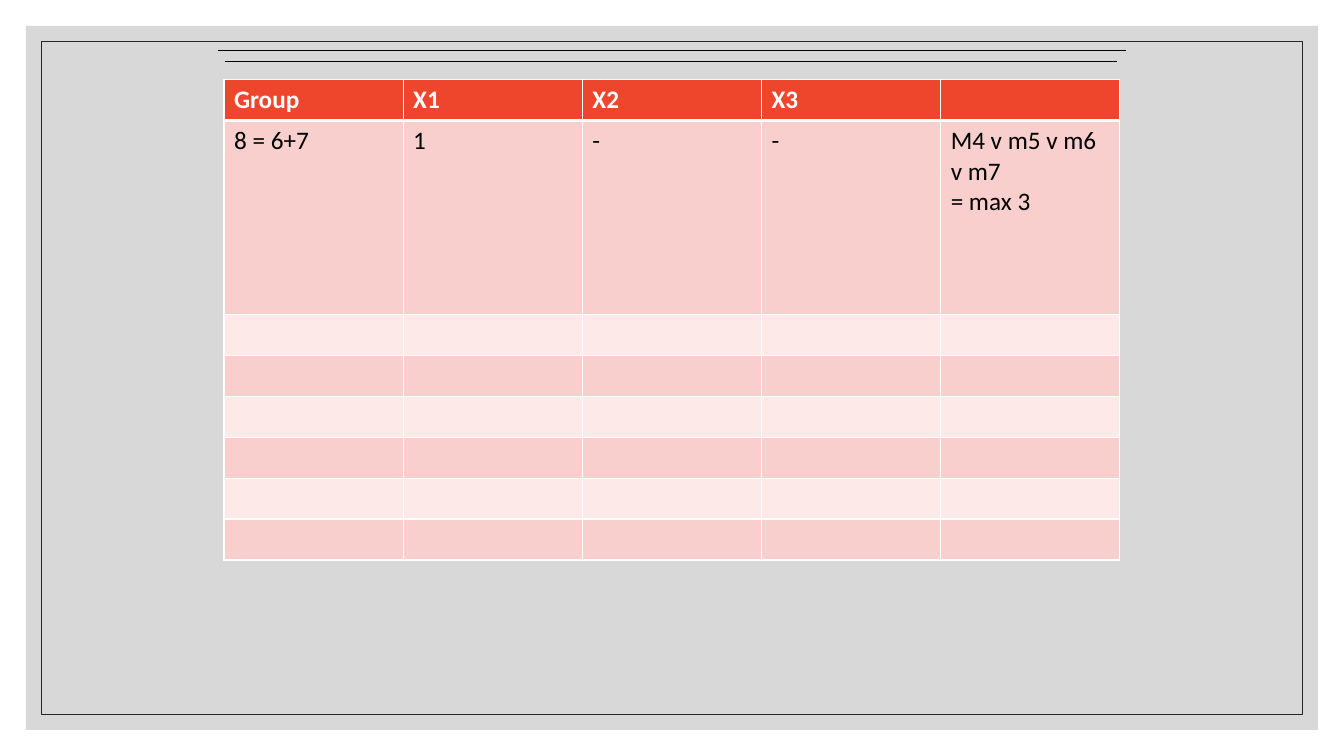
import pptx
import pptx.dml.color
import pptx.enum.shapes
import pptx.oxml
import pptx.oxml.ns
import pptx.util
from lxml import etree

Pt = pptx.util.Pt
qn = pptx.oxml.ns.qn

WIDTH, HEIGHT = 960, 540
ROWS = [
    ["Group", "X1", "X2", "X3", ""],
    ["8 = 6+7", "1", "-", "-", "M4 v m5 v m6 v m7\n= max 3"],
] + [[""] * 5 for _ in range(6)]
ROW_HEIGHTS = [29.2, 138.8] + [29.2] * 6


def color(value):
    return pptx.dml.color.RGBColor.from_string(value)


def add_frame(s, left, top, width, height):
    """Translucent grey panel with a thin outline inset in it."""
    inset = 10.8
    for gap, fill, line in ((0, "BFBFBF", None), (inset, None, "262626")):
        sp = s.shapes.add_shape(
            pptx.enum.shapes.MSO_SHAPE.RECTANGLE,
            Pt(left + gap), Pt(top + gap),
            Pt(width - 2 * gap), Pt(height - 2 * gap))
        sp.shadow.inherit = False
        if fill:
            sp.fill.solid()
            sp.fill.fore_color.rgb = color(fill)
            tint = sp.fill._xPr.find(".//" + qn("a:srgbClr"))
            etree.SubElement(tint, qn("a:alpha"), val="60000")
        else:
            sp.fill.background()
        if line:
            sp.line.color.rgb = color(line)
            sp.line.width = Pt(0.5)
        else:
            sp.line.fill.background()


def add_border(cell, side, width):
    tc_pr = cell._tc.get_or_add_tcPr()
    ln = etree.SubElement(tc_pr, qn("a:ln" + side), w=str(Pt(width)))
    fill = etree.SubElement(ln, qn("a:solidFill"))
    etree.SubElement(fill, qn("a:srgbClr"), val="FFFFFF")


def add_group_table(s, left, top, width):
    """Banded table with a red header row."""
    table = s.shapes.add_table(
        len(ROWS), len(ROWS[0]), Pt(left), Pt(top),
        Pt(width), Pt(sum(ROW_HEIGHTS))).table
    for column in table.columns:
        column.width = Pt(width / len(ROWS[0]))
    for i, (texts, height) in enumerate(zip(ROWS, ROW_HEIGHTS)):
        table.rows[i].height = Pt(height)
        header = i == 0
        fill = "EE462D" if header else ("FCE9E8", "F8CFCD")[i % 2]
        for j, text in enumerate(texts):
            cell = table.cell(i, j)
            # The rule under the header is heavier than the rest
            for side in "LRTB":
                heavy = (i, side) in ((0, "B"), (1, "T"))
                add_border(cell, side, 3 if heavy else 1)
            cell.fill.solid()
            cell.fill.fore_color.rgb = color(fill)
            cell.text_frame.text = text
            for p in cell.text_frame.paragraphs:
                for r in p.runs:
                    r.font.name = "Calibri"
                    r.font.size = Pt(18)
                    r.font.bold = header
                    r.font.color.rgb = color("FFFFFF" if header else "000000")


def add_rule(s, left, top, width):
    """Thin horizontal black line."""
    line = s.shapes.add_connector(
        pptx.enum.shapes.MSO_CONNECTOR.STRAIGHT,
        Pt(left), Pt(top), Pt(left + width), Pt(top))
    line.line.color.rgb = color("000000")
    line.line.width = Pt(0.5)
    etree.SubElement(line._element.spPr, qn("a:effectLst"))


def main():
    prs = pptx.Presentation()
    prs.slide_width, prs.slide_height = Pt(WIDTH), Pt(HEIGHT)
    s = prs.slides.add_slide(prs.slide_layouts[6])

    margin = 18.6
    add_frame(s, margin, margin, WIDTH - 2 * margin, HEIGHT - 2 * margin)
    add_group_table(s, 160, 56.8, 640)

    # Double rule above the table
    add_rule(s, 161, 44, 637)
    add_rule(s, 155.6, 36, 648.8)

    prs.save("out.pptx")


if __name__ == "__main__":
    main()
